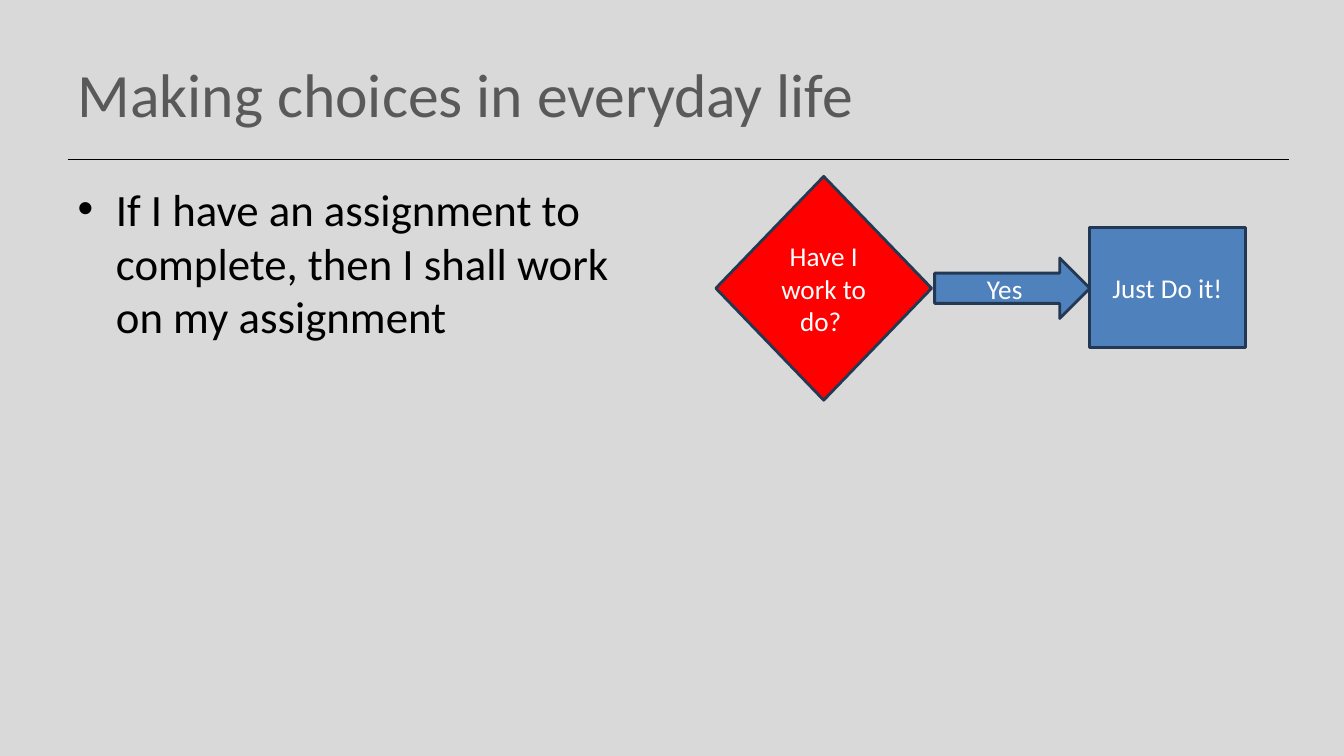
from lxml.etree import SubElement
from pptx import Presentation
from pptx.dml.color import RGBColor
from pptx.enum.shapes import MSO_CONNECTOR, MSO_SHAPE
from pptx.enum.text import MSO_ANCHOR, MSO_AUTO_SIZE, PP_ALIGN
from pptx.oxml.ns import qn
from pptx.util import Pt

PX = 9144  # EMU, 100 px to the inch
FONT = "Calibri"
COLORS = {
    "background": "D9D9D9",
    "title": "595959",
    "text": "000000",
    "decision": "FF0000",
    "action": "4F81BD",
    "outline": "233953",
    "label": "FFFFFF",
}


def color(name):
    return RGBColor.from_string(COLORS[name])


def emu(*lengths):
    return [length * PX for length in lengths]


def place(shape, box):
    shape.left, shape.top, shape.width, shape.height = emu(*box)


def format_text(shape, size, color_name, alignment, anchor):
    frame = shape.text_frame
    frame.word_wrap = True
    frame.auto_size = MSO_AUTO_SIZE.NONE
    frame.vertical_anchor = anchor
    for paragraph in frame.paragraphs:
        paragraph.alignment = alignment
        for run in paragraph.runs:
            run.font.name = FONT
            run.font.size = Pt(size)
            run.font.color.rgb = color(color_name)


def add_heading(slide, box):
    title = slide.shapes.title
    place(title, box)
    title.text_frame.text = "Making choices in everyday life"
    format_text(title, 44, "title", PP_ALIGN.LEFT, MSO_ANCHOR.MIDDLE)

    left, top, width, height = box
    rule_y = top + height + 3
    rule = slide.shapes.add_connector(
        MSO_CONNECTOR.STRAIGHT, *emu(left, rule_y, left + width + 11, rule_y))
    rule.line.color.rgb = color("text")
    rule.line.width = Pt(1)
    SubElement(rule._element.spPr, qn("a:effectLst"))


def add_body(slide, box):
    body = slide.placeholders[1]
    place(body, box)
    body.text_frame.text = ("If I have an assignment to complete, "
                            "then I shall work on my assignment")
    paragraph = body.text_frame.paragraphs[0]
    properties = paragraph._p.get_or_add_pPr()
    indent = 38 * PX
    properties.set("marL", str(indent))
    properties.set("indent", str(-indent))
    SubElement(properties, qn("a:buFont"), typeface="Arial")
    SubElement(properties, qn("a:buChar"), char="•")
    paragraph.space_before = Pt(0)
    format_text(body, 32, "text", PP_ALIGN.LEFT, MSO_ANCHOR.TOP)


def add_flow_chart(slide, box):
    """Lay the steps from left to right, centred on the middle of the box."""
    left, top, width, height = box
    step_width = 154
    action_left = left + width - step_width
    steps = [
        (MSO_SHAPE.FLOWCHART_DECISION, "Have I work to do? ", "decision",
         left, 214, height),
        (MSO_SHAPE.RIGHT_ARROW, "Yes", "action",
         action_left - step_width, step_width, 60),
        (MSO_SHAPE.FLOWCHART_PROCESS, "Just Do it!", "action",
         action_left, step_width, 119),
    ]
    for kind, label, fill, step_left, step_width, step_height in steps:
        step_top = top + (height - step_height) // 2
        shape = slide.shapes.add_shape(
            kind, *emu(step_left, step_top, step_width, step_height))
        shape.shadow.inherit = False
        shape.fill.solid()
        shape.fill.fore_color.rgb = color(fill)
        shape.line.color.rgb = color("outline")
        shape.line.width = Pt(2)
        shape.text_frame.text = label
        shape.text_frame.paragraphs[0].space_after = Pt(6)
        format_text(shape, 19.4, "label", PP_ALIGN.CENTER, MSO_ANCHOR.MIDDLE)


def main():
    presentation = Presentation()
    presentation.slide_width, presentation.slide_height = emu(1333, 750)
    slide = presentation.slides.add_slide(presentation.slide_layouts[1])
    slide.background.fill.solid()
    slide.background.fill.fore_color.rgb = color("background")
    add_heading(slide, (67, 30, 1200, 125))
    add_body(slide, (67, 175, 589, 239))
    add_flow_chart(slide, (710, 175, 525, 222))
    presentation.save("out.pptx")


if __name__ == "__main__":
    main()
